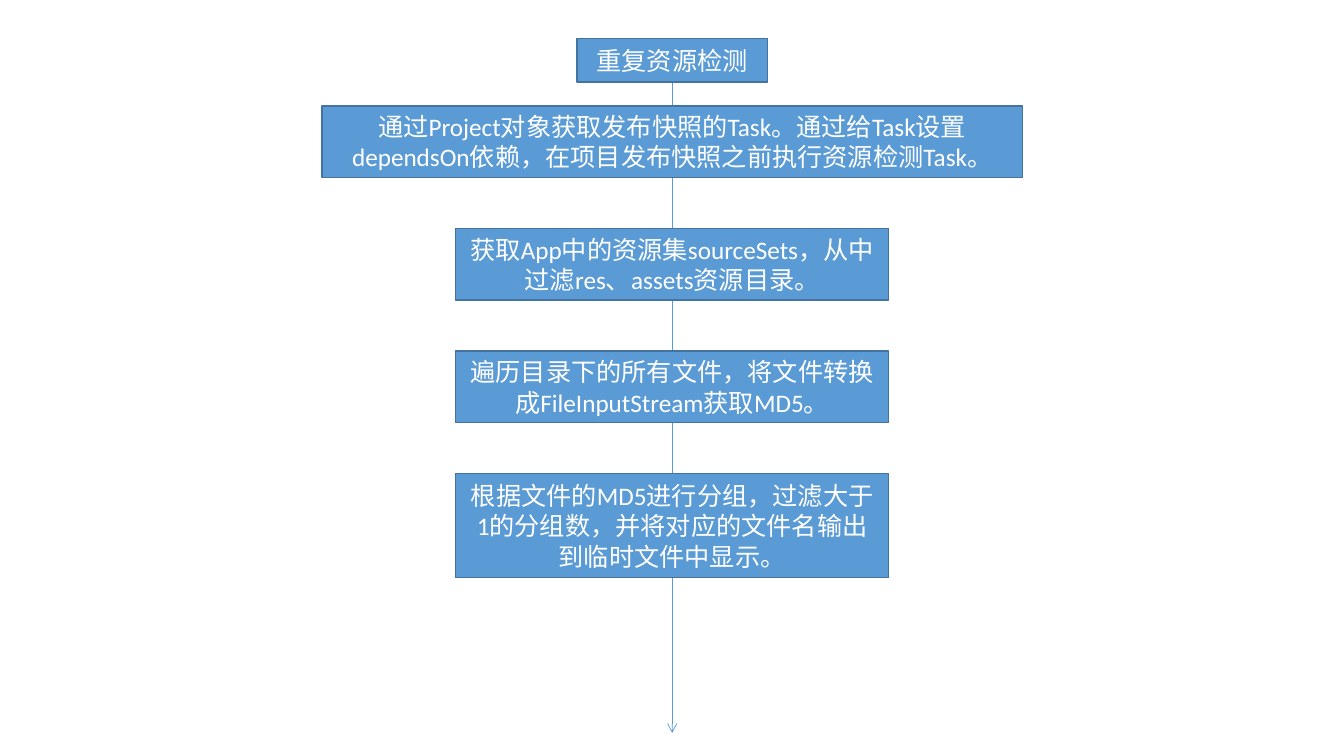
from lxml import etree
from pptx import Presentation
from pptx.dml.color import RGBColor
from pptx.enum.shapes import MSO_CONNECTOR, MSO_SHAPE
from pptx.enum.text import MSO_ANCHOR, PP_ALIGN
from pptx.oxml.ns import qn
from pptx.util import Cm, Pt

RECT = MSO_SHAPE.RECTANGLE
LINE = MSO_CONNECTOR.STRAIGHT
MIDDLE = MSO_ANCHOR.MIDDLE
CENTER = PP_ALIGN.CENTER

MID = 16.94
TOP = 2.67
STEP = 3.09
FONT = {"name": "Calibri", "size": Pt(18), "bold": False}
FRAME = {"word_wrap": True, "vertical_anchor": MIDDLE}

STEPS = [
    (17.65, 1.8, "通过Project对象获取发布快照的Task。通过给Task设置dependsOn依赖，在项目发布快照之前执行资源检测Task。"),
    (10.92, 1.8, "获取App中的资源集sourceSets，从中过滤res、assets资源目录。"),
    (10.92, 1.8, "遍历目录下的所有文件，将文件转换成FileInputStream获取MD5。"),
    (10.92, 2.62, "根据文件的MD5进行分组，过滤大于1的分组数，并将对应的文件名输出到临时文件中显示。"),
]


def paint(part, color):
    part.solid()
    part.fore_color.rgb = RGBColor.from_string(color)


deck = Presentation()
deck.slide_width = Cm(33.87)
deck.slide_height = Cm(19.05)
slide = deck.slides.add_slide(deck.slide_layouts[6])

flow = slide.shapes.add_connector(LINE, Cm(MID), Cm(2.06), Cm(MID), Cm(18.47))
flow.line.width = Pt(0.5)
paint(flow.line.fill, "5B9BD5")
etree.SubElement(flow.line._get_or_add_ln(), qn("a:tailEnd"), type="arrow")
etree.SubElement(flow._element.spPr, qn("a:effectLst"))

boxes = [(0.97, 4.8, 1.1, "重复资源检测")]
boxes += [(TOP + i * STEP, *step) for i, step in enumerate(STEPS)]

for top, width, height, text in boxes:
    box = slide.shapes.add_shape(
        RECT, Cm(MID - width / 2), Cm(top), Cm(width), Cm(height))
    box.shadow.inherit = False
    box.line.width = Pt(1)
    paint(box.fill, "5B9BD5")
    paint(box.line.fill, "43739E")
    frame = box.text_frame
    for key, value in FRAME.items():
        setattr(frame, key, value)
    para = frame.paragraphs[0]
    para.alignment = CENTER
    run = para.add_run()
    run.text = text
    for key, value in FONT.items():
        setattr(run.font, key, value)
    paint(run.font.fill, "FFFFFF")

deck.save("out.pptx")
